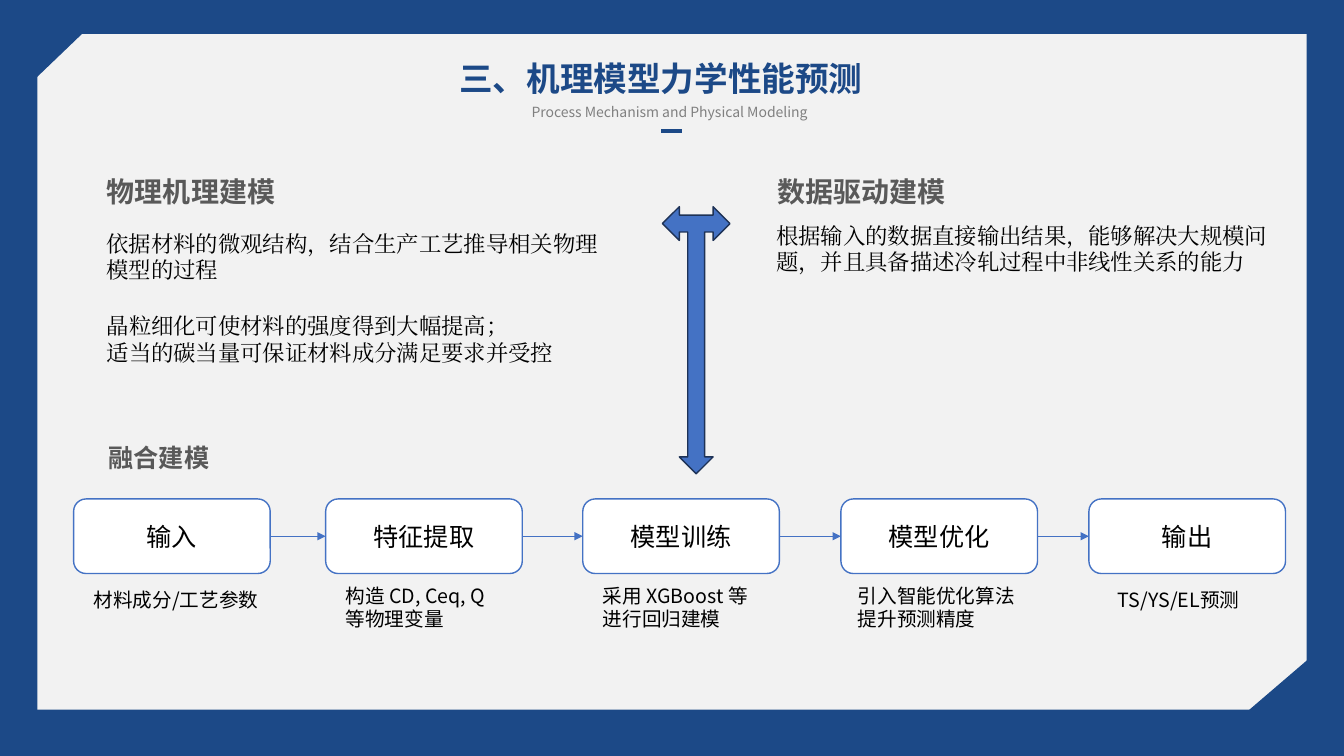
import itertools
import pptx
import pptx.util
import pptx.dml.color
import pptx.enum.shapes
import pptx.enum.text
import pptx.oxml.ns
from lxml import etree

RGBColor = pptx.dml.color.RGBColor
NAVY = RGBColor(0x1C, 0x49, 0x87)
PAPER = RGBColor(0xF2, 0xF2, 0xF2)
BLUE = RGBColor(0x44, 0x72, 0xC4)
DARK = RGBColor(0x1E, 0x32, 0x56)
GREY = RGBColor(0x80, 0x80, 0x80)
SLATE = RGBColor(0x59, 0x59, 0x59)
WHITE = RGBColor(0xFF, 0xFF, 0xFF)
BLACK = RGBColor(0, 0, 0)
SANS = "Noto Sans CJK SC"
SERIF = "Times New Roman"
KIND = pptx.enum.shapes.MSO_SHAPE
LEFT = pptx.enum.text.PP_ALIGN.LEFT
MID = pptx.enum.text.PP_ALIGN.CENTER
COLS, ROWS = 133.3, 75


class Deck:
    def __init__(self):
        self.prs = pptx.Presentation()
        self.prs.slide_width = pptx.util.Inches(13.33)
        self.prs.slide_height = pptx.util.Inches(7.5)
        self.slide = self.prs.slides.add_slide(self.prs.slide_layouts[6])
        fill = self.slide.background.fill
        fill.solid()
        fill.fore_color.rgb = NAVY

    def grid(self, *cells):
        units = (self.prs.slide_width / COLS, self.prs.slide_height / ROWS)
        return [round(cell * unit) for cell, unit in zip(cells, itertools.cycle(units))]

    def label(self, frame, lines, size, color, font=SANS, bold=False, align=LEFT, lead=None):
        frame.word_wrap = True
        for i, line in enumerate(lines):
            para = frame.paragraphs[0] if i == 0 else frame.add_paragraph()
            para.alignment = align
            if lead:
                para.line_spacing = lead
            run = para.add_run()
            run.text = line
            run.font.size = pptx.util.Pt(size)
            run.font.name = font
            run.font.bold = bold
            run.font.color.rgb = color
            east = etree.SubElement(run.font._element, pptx.oxml.ns.qn("a:ea"))
            east.set("typeface", font)

    def text(self, box, lines, size, color, **style):
        area = self.slide.shapes.add_textbox(*self.grid(*box))
        self.label(area.text_frame, lines, size, color, **style)

    def shape(self, kind, box, fill, line=None, turn=0):
        form = self.slide.shapes.add_shape(kind, *self.grid(*box))
        form.shadow.inherit = False
        form.rotation = turn
        form.fill.solid()
        form.fill.fore_color.rgb = fill
        if line is None:
            form.line.fill.background()
        else:
            form.line.color.rgb = line
            form.line.width = pptx.util.Pt(1)
        return form

    def line(self, ends, color, width, head=False):
        link = self.slide.shapes.add_connector(
            pptx.enum.shapes.MSO_CONNECTOR.STRAIGHT, *self.grid(*ends))
        link.line.color.rgb = color
        link.line.width = pptx.util.Pt(width)
        props = link._element.spPr
        if head:
            stroke = props.find(pptx.oxml.ns.qn("a:ln"))
            tip = etree.SubElement(stroke, pptx.oxml.ns.qn("a:tailEnd"))
            tip.set("type", "triangle")
        etree.SubElement(props, pptx.oxml.ns.qn("a:effectLst"))

    def step(self, left, name):
        form = self.shape(KIND.ROUNDED_RECTANGLE, (left, 49.5, 19.5, 7.4), WHITE, BLUE)
        form.text_frame.vertical_anchor = pptx.enum.text.MSO_ANCHOR.MIDDLE
        self.label(form.text_frame, [name], 18, BLACK, align=MID)


def main():
    deck = Deck()
    deck.shape(KIND.RECTANGLE, (3.7, 3.4, 125.9, 67), PAPER)
    deck.shape(KIND.RECTANGLE, (-1.2, -4.1, 8, 13.9), NAVY, NAVY, 46.2)
    deck.shape(KIND.RECTANGLE, (125.2, 63.3, 8.5, 16.1), NAVY, NAVY, 49.4)

    deck.text((43, 5.3, 45.1, 5), ["三、机理模型力学性能预测"], 24, NAVY, bold=True, align=MID)
    deck.text((43, 8.9, 46.8, 3.2), ["Process Mechanism and Physical Modeling"],
              10, GREY, align=MID, lead=1.5)
    deck.line((65.6, 13, 67.6, 13), NAVY, 3)

    for box, size, head in (
        ((8.7, 16.2, 20.5, 4.7), 20, "物理机理建模"),
        ((75.7, 16.2, 19.5, 4.7), 20, "数据驱动建模"),
        ((8.7, 42.8, 14.1, 4.3), 18, "融合建模"),
    ):
        deck.text(box, [head], size, SLATE, bold=True, align=MID, lead=1.2)

    for box, lines in (
        ((9.6, 22.3, 51.3, 6.4), ["依据材料的微观结构，结合生产工艺推导相关物理模型的过程"]),
        ((9.6, 30.5, 52.5, 6.4), ["晶粒细化可使材料的强度得到大幅提高；",
                                  "适当的碳当量可保证材料成分满足要求并受控"]),
        ((76, 21.5, 51.3, 6.4),
         ["根据输入的数据直接输出结果，能够解决大规模问题，并且具备描述冷轧过程中非线性关系的能力"]),
    ):
        deck.text(box, lines, 16, BLACK, font=SERIF)

    deck.shape(KIND.LEFT_RIGHT_UP_ARROW, (65.7, 20.5, 6.7, 26.5), BLUE, DARK, 180)

    steps = (
        (7.3, "输入", (8.3, 57.8, 19.5, 3.4), "材料成分/工艺参数"),
        (32.3, "特征提取", (33.3, 57.4, 17.5, 5.7), "构造 CD, Ceq, Q 等物理变量"),
        (57.8, "模型训练", (58.8, 57.4, 17.5, 5.7), "采用 XGBoost 等进行回归建模"),
        (83.4, "模型优化", (84.1, 57.4, 18, 5.7), "引入智能优化算法提升预测精度"),
        (108, "输出", (109.9, 57.8, 15.6, 3.4), "TS/YS/EL预测"),
    )
    for left, name, box, note in steps:
        deck.step(left, name)
        deck.text(box, [note], 14, BLACK)
    for start, end in zip(steps, steps[1:]):
        deck.line((start[0] + 19.5, 53.2, end[0], 53.2), BLUE, 0.5, head=True)

    deck.prs.save("out.pptx")


if __name__ == "__main__":
    main()
